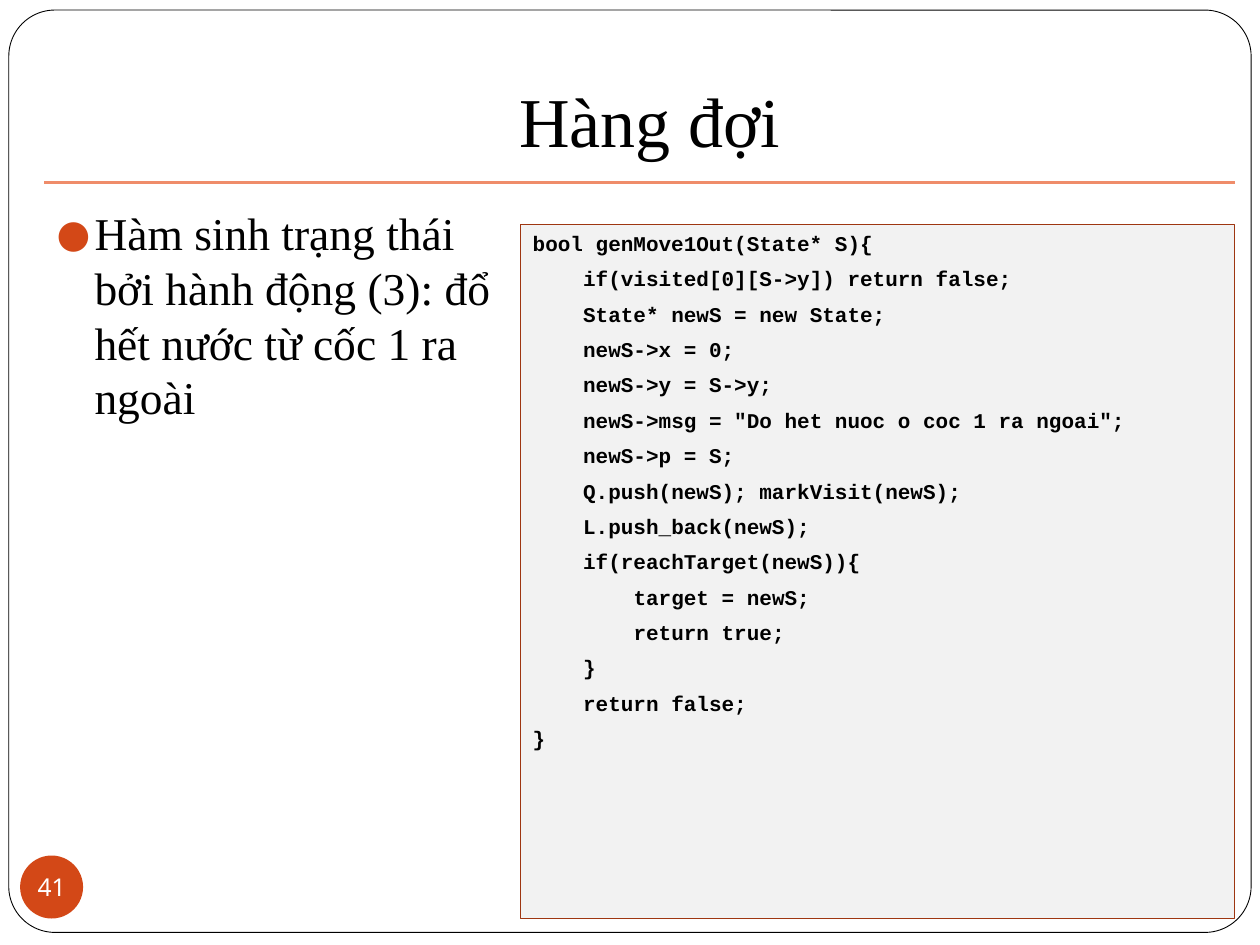
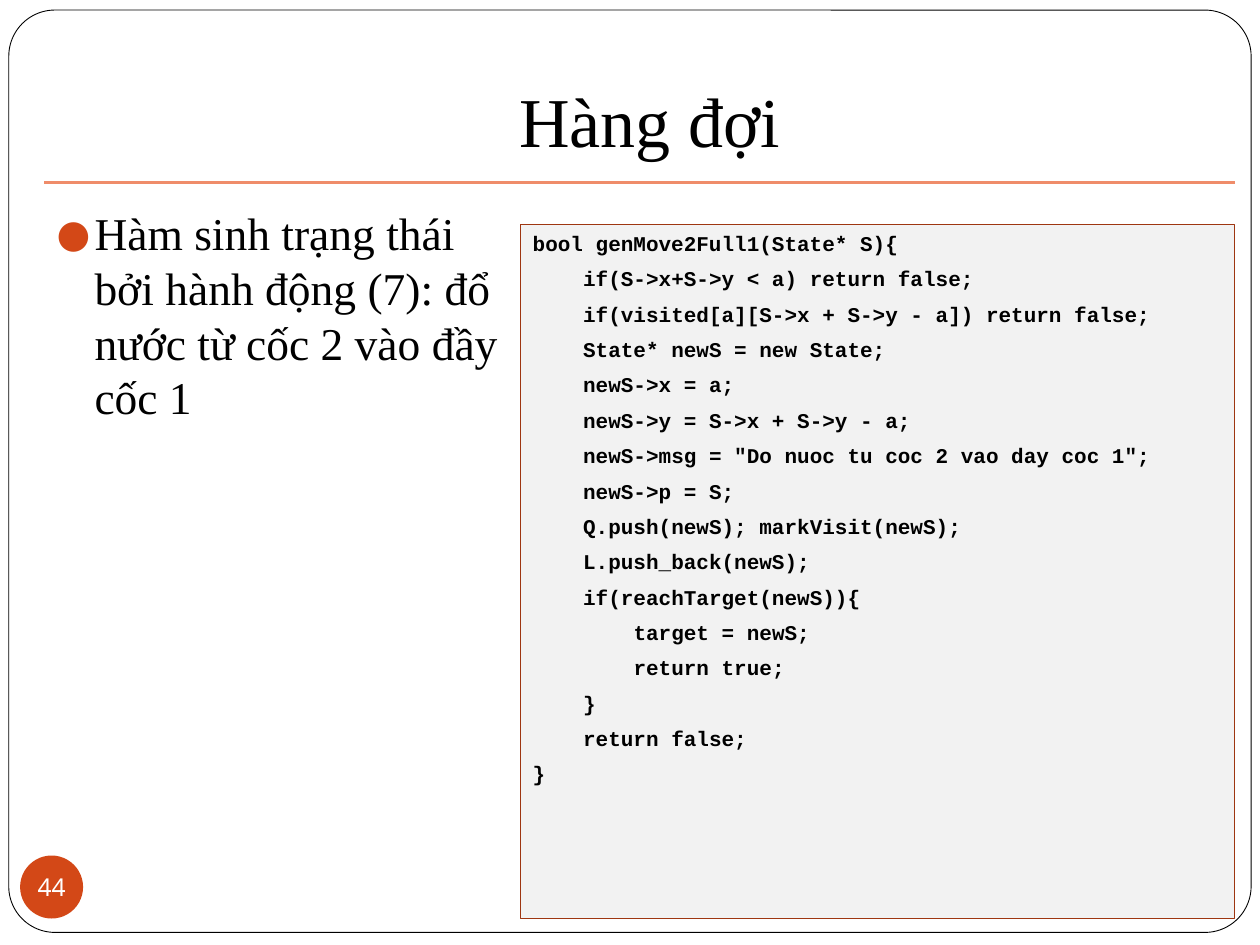
from dataclasses import dataclass
from lxml import etree
from pptx import Presentation
from pptx.dml.color import RGBColor
from pptx.enum.shapes import MSO_CONNECTOR, MSO_SHAPE
from pptx.enum.text import MSO_ANCHOR, MSO_AUTO_SIZE, PP_ALIGN
from pptx.oxml.ns import qn
from pptx.util import Inches, Pt

LEFT, CENTER = PP_ALIGN.LEFT, PP_ALIGN.CENTER
TOP, MIDDLE, BOTTOM = MSO_ANCHOR.TOP, MSO_ANCHOR.MIDDLE, MSO_ANCHOR.BOTTOM
FIXED = MSO_AUTO_SIZE.NONE
RECT, OVAL, ROUND = MSO_SHAPE.RECTANGLE, MSO_SHAPE.OVAL, MSO_SHAPE.ROUNDED_RECTANGLE
STRAIGHT = MSO_CONNECTOR.STRAIGHT


@dataclass(frozen=True)
class Theme:
    ink: str = "000000"
    paper: str = "FFFFFF"
    accent: str = "D34817"
    rule: str = "EF8C6A"
    panel: str = "F2F2F2"
    edge: str = "9E3611"
    serif: str = "Times New Roman"
    sans: str = "Noto Sans"
    mono: str = "Courier New"
    title: int = 40
    body: int = 26
    code: int = 12
    badge: int = 14
    gap: float = 5.8
    pitch: float = 1.2
    indent: float = 0.3
    step: float = 0.1


THEME = Theme()
INSETS = (0.1, 0.05, 0.1, 0.05)

TAIL = """    newS->p = S;
    Q.push(newS); markVisit(newS);
    L.push_back(newS);
    if(reachTarget(newS)){
        target = newS;
        return true;
    }
    return false;
}"""

PAGES = [
    ("41", "Hàm sinh trạng thái bởi hành động (3): đổ hết nước từ cốc 1 ra ngoài",
     """bool genMove1Out(State* S){
    if(visited[0][S->y]) return false;
    State* newS = new State;
    newS->x = 0;
    newS->y = S->y;
    newS->msg = "Do het nuoc o coc 1 ra ngoai";
"""),
    ("44", "Hàm sinh trạng thái bởi hành động (7): đổ nước từ cốc 2 vào đầy cốc 1",
     """bool genMove2Full1(State* S){
    if(S->x+S->y < a) return false;
    if(visited[a][S->x + S->y - a]) return false;
    State* newS = new State;
    newS->x = a;
    newS->y = S->x + S->y - a;
    newS->msg = "Do nuoc tu coc 2 vao day coc 1";
"""),
]


def color(code):
    return RGBColor.from_string(code)


def place(shape, *box):
    shape.left, shape.top, shape.width, shape.height = map(Inches, box)


def write(shape, text, *, font, size, ink=THEME.ink, bold=False, align=LEFT,
          anchor=TOP, insets=INSETS, wrap=True, gap=0, pitch=None):
    frame = shape.text_frame
    frame.auto_size = FIXED
    frame.word_wrap = wrap
    frame.vertical_anchor = anchor
    (frame.margin_left, frame.margin_top,
     frame.margin_right, frame.margin_bottom) = map(Inches, insets)
    for index, line in enumerate(text.splitlines()):
        para = frame.add_paragraph() if index else frame.paragraphs[0]
        para.alignment = align
        para.space_before = Pt(gap)
        if pitch:
            para.line_spacing = Pt(pitch * size)
        words = line.lstrip()
        depth = len(line) - len(words)
        if depth:
            para._p.get_or_add_pPr().set("marL", str(Inches(depth * THEME.step)))
        run = para.add_run()
        run.text = words
        run.font.name = font
        run.font.size = Pt(size)
        run.font.bold = bold
        run.font.color.rgb = color(ink)


def bullet(para):
    props = para._p.get_or_add_pPr()
    props.set("marL", str(Inches(THEME.indent)))
    props.set("indent", str(-Inches(THEME.indent)))
    tint = etree.SubElement(props, qn("a:buClr"))
    etree.SubElement(tint, qn("a:srgbClr"), val=THEME.accent)
    etree.SubElement(props, qn("a:buSzPct"), val="85000")
    etree.SubElement(props, qn("a:buFont"), typeface=THEME.sans)
    etree.SubElement(props, qn("a:buChar"), char="●")


def block(slide, kind, box, fill, line=None, width=0):
    shape = slide.shapes.add_shape(kind, *map(Inches, box))
    shape.shadow.inherit = False
    shape.fill.solid()
    shape.fill.fore_color.rgb = color(fill)
    if line:
        shape.line.color.rgb = color(line)
        shape.line.width = Pt(width)
    else:
        shape.line.fill.background()
    return shape


def border(slide):
    frame = block(slide, ROUND, (0.07, 0.08, 9.86, 7.32), THEME.paper, THEME.ink, 0.5)
    frame.adjustments[0] = 0.05
    slide.slide_layout.shapes.element.insert(2, frame._element)


def divide(slide):
    line = slide.shapes.add_connector(STRAIGHT, *map(Inches, (0.35, 1.45, 9.8, 1.45)))
    line.line.color.rgb = color(THEME.rule)
    line.line.width = Pt(2)
    etree.SubElement(line._element.spPr, qn("a:effectLst"))


def head(slide, text):
    place(slide.shapes.title, 0.51, 0.13, 9.29, 1.25)
    write(slide.shapes.title, text, font=THEME.serif, size=THEME.title,
          align=CENTER, anchor=BOTTOM, insets=(0.1, 0.05, 0.1, 0.1))


def badge(slide, number):
    disc = block(slide, OVAL, (0.16, 6.79, 0.5, 0.5), THEME.accent)
    write(disc, number, font=THEME.sans, size=THEME.badge, ink=THEME.paper,
          align=CENTER, anchor=MIDDLE, insets=(0, 0, 0, 0), wrap=False)


def note(slide, text):
    body = slide.placeholders[1]
    place(body, 0.35, 1.58, 3.78, 5.47)
    write(body, text, font=THEME.serif, size=THEME.body,
          gap=THEME.gap, pitch=THEME.pitch)
    bullet(body.text_frame.paragraphs[0])


def listing(slide, text):
    panel = block(slide, RECT, (4.13, 1.78, 5.67, 5.51), THEME.panel, THEME.edge, 0.75)
    write(panel, text, font=THEME.mono, size=THEME.code, bold=True,
          gap=THEME.gap, pitch=THEME.pitch)


def main():
    deck = Presentation()
    deck.slide_width, deck.slide_height = Inches(10), Inches(7.5)
    layout = deck.slide_layouts[1]
    for index, (number, text, code) in enumerate(PAGES):
        slide = deck.slides.add_slide(layout)
        if not index:
            border(slide)
        head(slide, "Hàng đợi")
        divide(slide)
        badge(slide, number)
        note(slide, text)
        listing(slide, code + TAIL)
    deck.save("out.pptx")


main()
